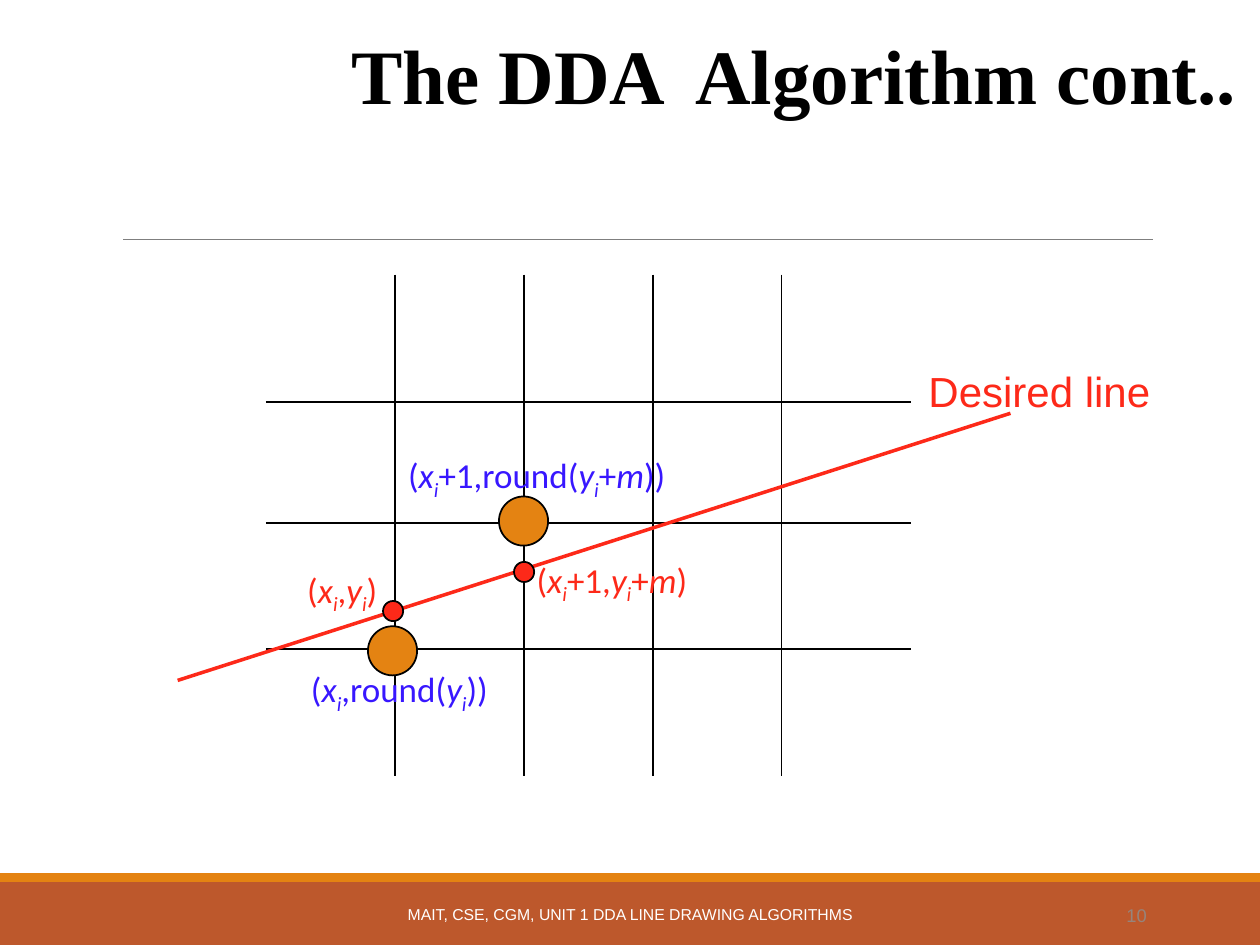
"""Build a slide showing how the DDA algorithm rounds points to a pixel grid."""
from lxml import etree
from pptx import Presentation
from pptx.dml.color import RGBColor
from pptx.enum.shapes import MSO_CONNECTOR, MSO_SHAPE
from pptx.enum.text import MSO_ANCHOR, MSO_AUTO_SIZE, PP_ALIGN
from pptx.oxml import parse_xml
from pptx.oxml.ns import nsdecls, qn
from pptx.util import Inches, Pt

STRAIGHT = MSO_CONNECTOR.STRAIGHT
RECTANGLE, OVAL = MSO_SHAPE.RECTANGLE, MSO_SHAPE.OVAL
TOP, MIDDLE = MSO_ANCHOR.TOP, MSO_ANCHOR.MIDDLE
LEFT, CENTER, RIGHT = PP_ALIGN.LEFT, PP_ALIGN.CENTER, PP_ALIGN.RIGHT
NO_AUTOFIT = MSO_AUTO_SIZE.NONE

BLACK = RGBColor(0x00, 0x00, 0x00)
WHITE = RGBColor(0xFF, 0xFF, 0xFF)
GRAY = RGBColor(0x7F, 0x7F, 0x7F)
NUMBER_GRAY = RGBColor(0x96, 0x84, 0x7C)
RUST = RGBColor(0xBD, 0x58, 0x2C)
ORANGE = RGBColor(0xE4, 0x83, 0x12)
RED = RGBColor(0xFD, 0x29, 0x19)
BLUE = RGBColor(0x38, 0x17, 0xFF)


def write_text(shape, text, *, size, color, font="Arial", bold=False,
               align=LEFT, anchor=TOP, wrap=True):
    """Write text, where | parts the runs and single letters are variables."""
    frame = shape.text_frame
    frame.auto_size = NO_AUTOFIT
    frame.word_wrap = wrap
    frame.vertical_anchor = anchor
    paragraph = frame.paragraphs[0]
    paragraph.alignment = align
    for piece in text.split("|"):
        run = paragraph.add_run()
        run.text = piece
        run.font.name = font
        run.font.size = Pt(size)
        run.font.bold = bold
        run.font.color.rgb = color
        if piece in ("x", "y", "m", "i"):
            run.font.italic = True
        if piece == "i":
            run.font._element.set("baseline", "-25000")


def add_line(start, end, color, width):
    """Add a straight line without a shadow."""
    line = slide.shapes.add_connector(STRAIGHT, *map(Inches, start + end))
    line.line.color.rgb = color
    line.line.width = Pt(width)
    etree.SubElement(line._element.spPr, qn("a:effectLst"))


presentation = Presentation()
presentation.slide_width = Inches(10)
presentation.slide_height = Inches(7.5)
slide = presentation.slides.add_slide(presentation.slide_layouts[5])

title = slide.shapes.title
title.left, title.top = Inches(2.42), Inches(0.17)
title.width, title.height = Inches(7.5), Inches(0.83)
write_text(title, "The DDA  Algorithm cont..", size=44, color=BLACK,
           font="Times New Roman", bold=True, align=RIGHT)

for top, height, color in ((7, 0.5, RUST), (6.93, 0.07, ORANGE)):
    bar = slide.shapes.add_shape(RECTANGLE, 0, Inches(top), Inches(10), Inches(height))
    bar.shadow.inherit = False
    bar.fill.solid()
    bar.fill.fore_color.rgb = color
    bar.line.fill.background()
add_line((0.98, 1.9), (9.15, 1.9), GRAY, 0.75)

row_heights = (1.01, 0.96, 1, 1.01)
row_count, column_count = len(row_heights), 5
grid = slide.shapes.add_table(row_count, column_count, Inches(2.11), Inches(2.18),
                              Inches(5.12), Inches(3.98)).table
grid.first_row = False
grid.horz_banding = False
for row, height in zip(grid.rows, row_heights):
    row.height = Inches(height)
for row in range(row_count):
    for column in range(column_count):
        cell = grid.cell(row, column)
        cell_properties = cell._tc.get_or_add_tcPr()
        inner_sides = {"L": column > 0, "R": column < column_count - 1,
                       "T": row > 0, "B": row < row_count - 1}
        for side, is_inner in inner_sides.items():
            paint = (f'<a:solidFill><a:srgbClr val="{BLACK}"/></a:solidFill>'
                     if is_inner else "<a:noFill/>")
            cell_properties.append(parse_xml(
                f'<a:ln{side} {nsdecls("a")} w="12700">{paint}</a:ln{side}>'))
        cell.fill.background()

add_line((1.41, 5.4), (8.02, 3.28), RED, 2)

points = (
    (2.92, 4.97, 0.39, ORANGE),
    (3.04, 4.77, 0.16, RED),
    (3.96, 3.94, 0.39, ORANGE),
    (4.08, 4.46, 0.16, RED),
)
for left, top, diameter, color in points:
    point = slide.shapes.add_shape(OVAL, Inches(left), Inches(top),
                                   Inches(diameter), Inches(diameter))
    point.shadow.inherit = False
    point.fill.solid()
    point.fill.fore_color.rgb = color
    point.line.color.rgb = BLACK
    point.line.width = Pt(1)

formula = {"size": 20, "font": "Calibri", "wrap": False}
footer = {"anchor": MIDDLE}
labels = (
    (7.27, 2.85, 1.98, 0.51, "Desired line", {"size": 24, "color": RED, "wrap": False}),
    (2.37, 5.25, 1.63, 0.43, "(|x|i|,round(|y|i|))", {**formula, "color": BLUE}),
    (2.34, 4.46, 0.8, 0.43, "(|x|i|,|y|i|)", {**formula, "color": RED}),
    (3.14, 3.55, 2.29, 0.43, "(|x|i|+1,round(|y|i|+|m|))", {**formula, "color": BLUE}),
    (4.16, 4.38, 1.45, 0.43, "(|x|i|+1,|y|i|+|m|)", {**formula, "color": RED}),
    (3.02, 7.06, 3.96, 0.4, "MAIT, CSE, CGM, UNIT 1 DDA LINE DRAWING ALGORITHMS",
     {**footer, "size": 9, "color": WHITE, "align": CENTER}),
    (8.12, 7.06, 1.08, 0.4, "10",
     {**footer, "size": 10.5, "color": NUMBER_GRAY, "align": RIGHT}),
)
for left, top, width, height, text, text_format in labels:
    label = slide.shapes.add_textbox(Inches(left), Inches(top),
                                     Inches(width), Inches(height))
    write_text(label, text, **text_format)

presentation.save("out.pptx")
